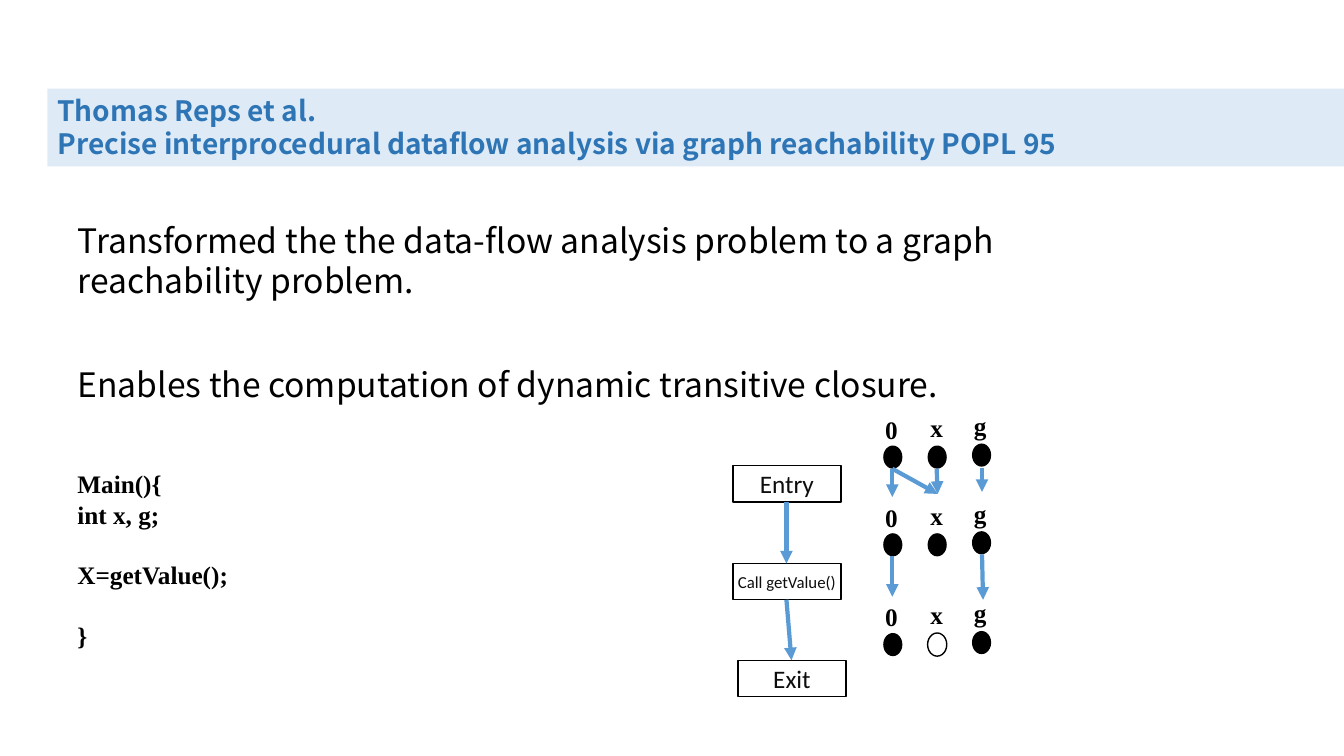
from dataclasses import dataclass

from lxml import etree
from pptx import Presentation
from pptx.dml.color import RGBColor
from pptx.enum.shapes import MSO_CONNECTOR, MSO_SHAPE
from pptx.enum.text import MSO_ANCHOR, MSO_AUTO_SIZE, PP_ALIGN
from pptx.oxml.ns import qn
from pptx.util import Inches, Pt

LINE = MSO_CONNECTOR.STRAIGHT
RECT, OVAL = MSO_SHAPE.RECTANGLE, MSO_SHAPE.OVAL
TOP, MIDDLE = MSO_ANCHOR.TOP, MSO_ANCHOR.MIDDLE
LEFT, CENTER = PP_ALIGN.LEFT, PP_ALIGN.CENTER
FIXED = MSO_AUTO_SIZE.NONE
SANS, SERIF, PLAIN = "Noto Sans CJK TC", "Times New Roman", "Calibri"
BLACK, WHITE, BLUE = "000000", "FFFFFF", "5B9BD5"


@dataclass
class Step:
    text: str
    left: float
    top: float
    size: float


@dataclass
class Fact:
    name: str
    left: float
    label: float
    rise: float
    drop: float


@dataclass
class Arrow:
    x1: float
    y1: float
    x2: float
    y2: float


STEPS = [
    Step("Entry", 7.27, 4.62, 18),
    Step("Call getValue()", 7.27, 5.59, 12),
    Step("Exit", 7.32, 6.55, 18),
]
FACTS = [
    Fact("0", 8.76, 8.68, 0.36, 0),
    Fact("x", 9.2, 9.13, 0.38, 0),
    Fact("g", 9.64, 9.56, 0.4, -0.02),
]
ROWS = [4.42, 5.29, 6.28]
ARROWS = [
    Arrow(7.8, 4.98, 7.8, 5.59),
    Arrow(7.8, 5.95, 7.85, 6.55),
    Arrow(8.85, 4.65, 8.85, 4.93),
    Arrow(8.85, 5.52, 8.85, 5.92),
    Arrow(8.85, 4.65, 9.3, 4.9),
    Arrow(9.29, 4.65, 9.3, 4.9),
    Arrow(9.74, 4.64, 9.74, 4.88),
    Arrow(9.74, 5.5, 9.75, 5.95),
]


def rgb(code: str) -> RGBColor:
    return RGBColor.from_string(code)


def place(shape, left: float, top: float, width: float, height: float) -> None:
    shape.left, shape.top = Inches(left), Inches(top)
    shape.width, shape.height = Inches(width), Inches(height)


def write(frame, text: str, font: str, size: float, color: str,
          bold: bool = False, align=LEFT, anchor=TOP, pitch: float = 0) -> None:
    """Fill a frame; a pitch above zero is the exact line height in points."""
    frame.text = text
    frame.auto_size = FIXED
    frame.vertical_anchor = anchor
    for para in frame.paragraphs:
        para.alignment = align
        para.space_before = para.space_after = Pt(0)
        if pitch:
            para.line_spacing = Pt(pitch)
        for run in para.runs:
            run.font.name, run.font.size = font, Pt(size)
            run.font.bold = bold
            run.font.color.rgb = rgb(color)
            east = etree.SubElement(run.font._element, qn("a:ea"))
            east.set("typeface", font)


def add_title(slide) -> None:
    title = slide.shapes.title
    place(title, 0.47, 0.88, 12.86, 0.77)
    title.fill.solid()
    title.fill.fore_color.rgb = rgb("DEEBF7")
    write(title.text_frame, "Thomas Reps et al.\nPrecise interprocedural "
          "dataflow analysis via graph reachability POPL 95",
          SANS, 20, "2E75B6", bold=True, pitch=24.2)
    title.text_frame.margin_top = Inches(0.04)


def add_body(slide) -> None:
    body = slide.placeholders[1]
    place(body, 0.67, 2.13, 10.74, 2.34)
    frame = body.text_frame
    write(frame, "Transformed the the data-flow analysis problem to a graph "
          "reachability problem.\nEnables the computation of dynamic "
          "transitive closure.", SANS, 24, BLACK, pitch=28.8)
    frame.paragraphs[1].space_before = Pt(45.5)
    for para in frame.paragraphs:
        props = para._p.get_or_add_pPr()
        props.set("marL", "0")
        props.set("indent", "0")
        etree.SubElement(props, qn("a:buNone"))


def add_text(slide, text: str, left: float, top: float,
             width: float, height: float, wrap: bool):
    box = slide.shapes.add_textbox(Inches(left), Inches(top),
                                   Inches(width), Inches(height))
    write(box.text_frame, text, SERIF, 18, BLACK, bold=True, pitch=21.6)
    box.text_frame.word_wrap = wrap
    return box


def add_code(slide) -> None:
    box = add_text(slide, "Main(){\nint x, g;\nX=getValue();\n}",
                   0.67, 4.6, 6.67, 1.92, True)
    for para in box.text_frame.paragraphs[2:]:
        para.space_before = Pt(21.6)


def add_step(slide, step: Step) -> None:
    box = slide.shapes.add_shape(RECT, Inches(step.left), Inches(step.top),
                                 Inches(1.07), Inches(0.36))
    box.shadow.inherit = False
    box.fill.background()
    box.line.color.rgb = rgb(BLACK)
    box.line.width = Pt(1)
    frame = box.text_frame
    write(frame, step.text, PLAIN, step.size, "0D0D0D",
          align=CENTER, anchor=MIDDLE)
    frame.word_wrap = True
    frame.margin_left = frame.margin_right = Inches(0.02)
    frame.margin_top = frame.margin_bottom = Inches(0.02)


def add_dot(slide, left: float, top: float, full: bool) -> None:
    dot = slide.shapes.add_shape(OVAL, Inches(left), Inches(top),
                                 Inches(0.19), Inches(0.23))
    dot.shadow.inherit = False
    dot.fill.solid()
    dot.fill.fore_color.rgb = rgb(BLACK if full else WHITE)
    if full:
        dot.line.fill.background()
    else:
        dot.line.color.rgb = rgb(BLACK)
        dot.line.width = Pt(1)


def add_arrow(slide, arrow: Arrow) -> None:
    link = slide.shapes.add_connector(
        LINE, Inches(arrow.x1), Inches(arrow.y1),
        Inches(arrow.x2), Inches(arrow.y2))
    link.line.color.rgb = rgb(BLUE)
    link.line.width = Pt(3)
    tail = etree.SubElement(link.line._get_or_add_ln(), qn("a:tailEnd"))
    tail.set("type", "triangle")
    etree.SubElement(link._element.spPr, qn("a:effectLst"))


def main() -> None:
    deck = Presentation()
    deck.slide_width, deck.slide_height = Inches(13.33), Inches(7.5)
    slide = deck.slides.add_slide(deck.slide_layouts[1])
    add_title(slide)
    add_body(slide)
    add_code(slide)
    for step in STEPS:
        add_step(slide, step)
    for row in ROWS:
        for fact in FACTS:
            full = fact.name != "x" or row != ROWS[-1]
            add_dot(slide, fact.left, row + fact.drop, full)
            add_text(slide, fact.name, fact.label, row - fact.rise,
                     0.35, 0.4, False)
    for arrow in ARROWS:
        add_arrow(slide, arrow)
    deck.save("out.pptx")


if __name__ == "__main__":
    main()
